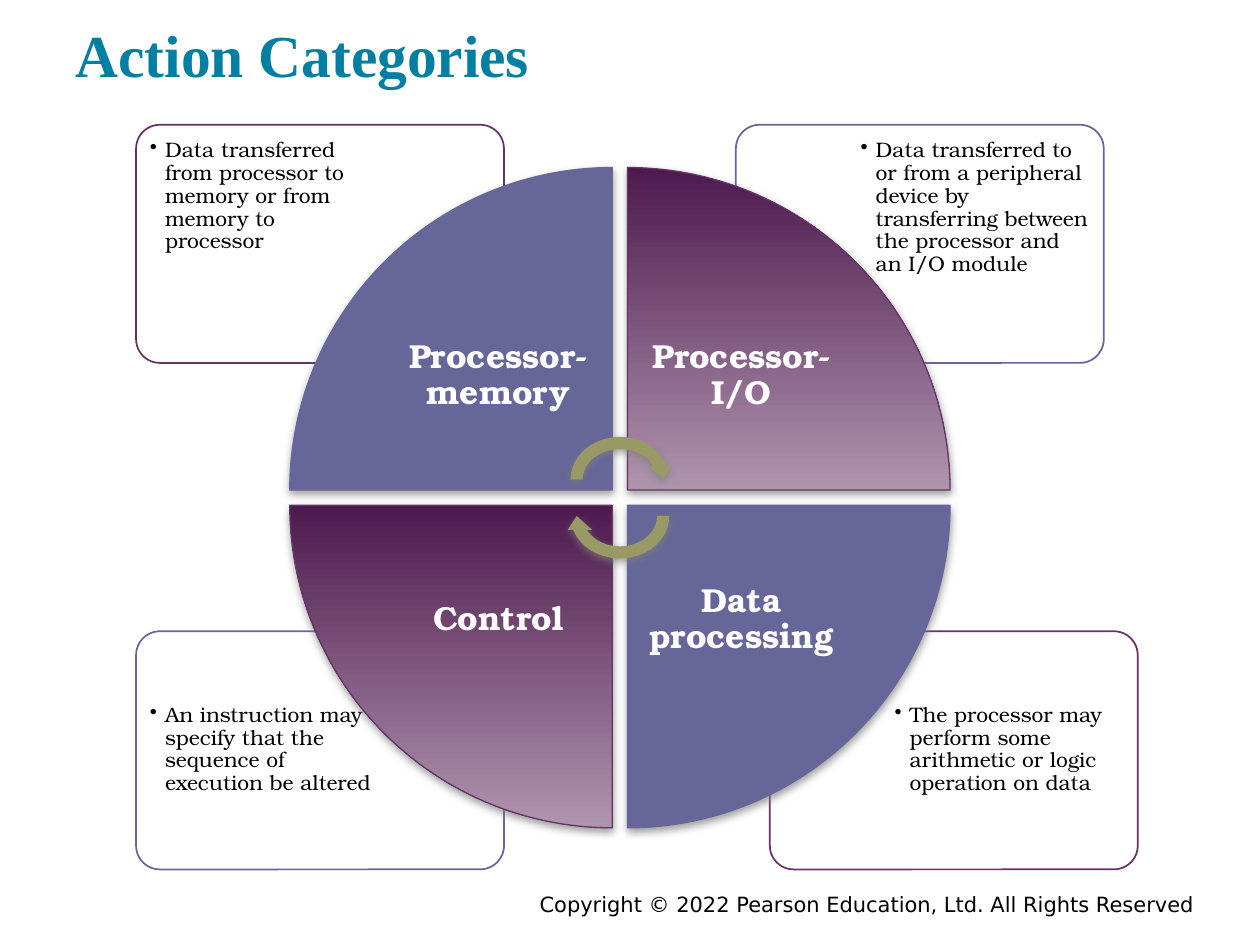
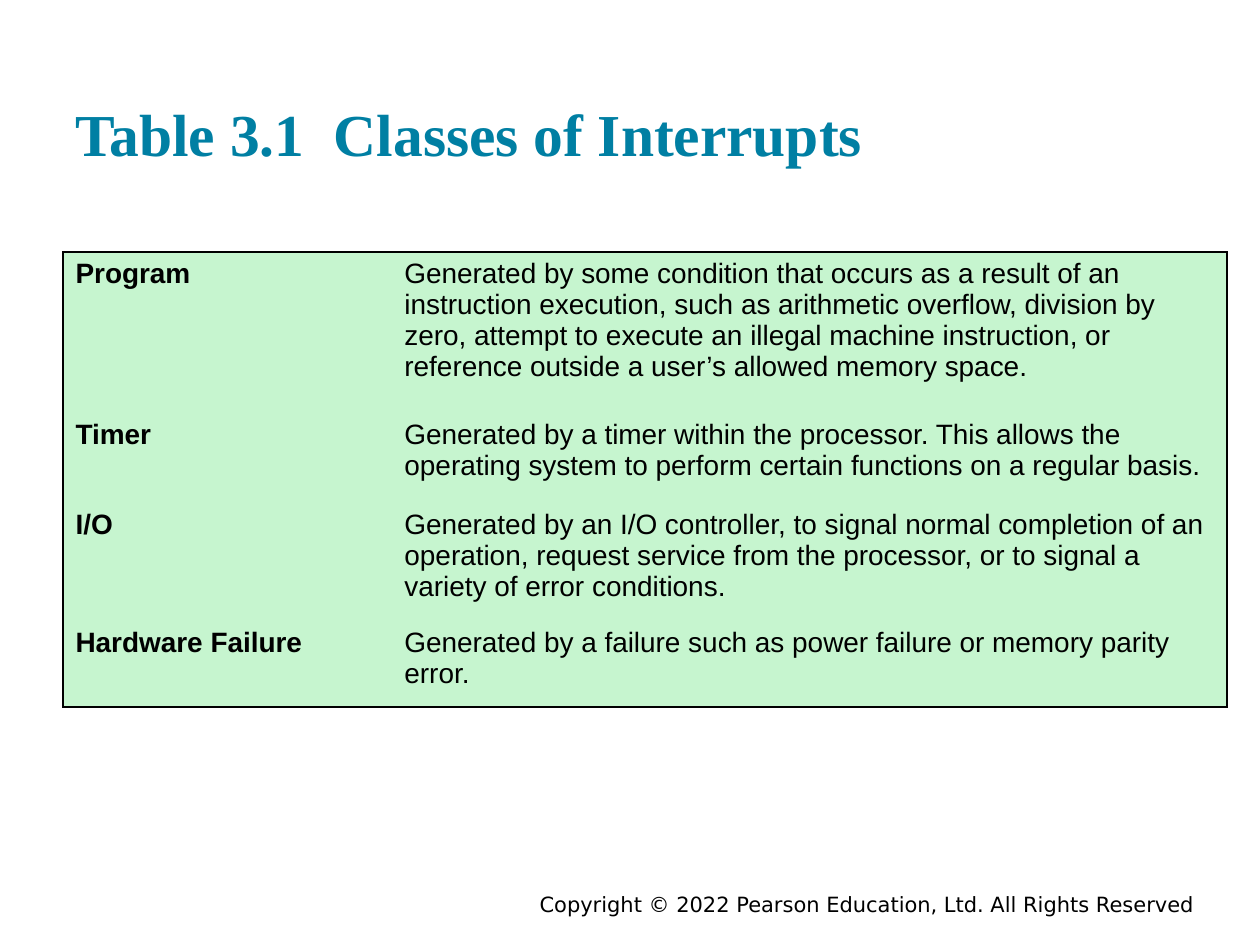
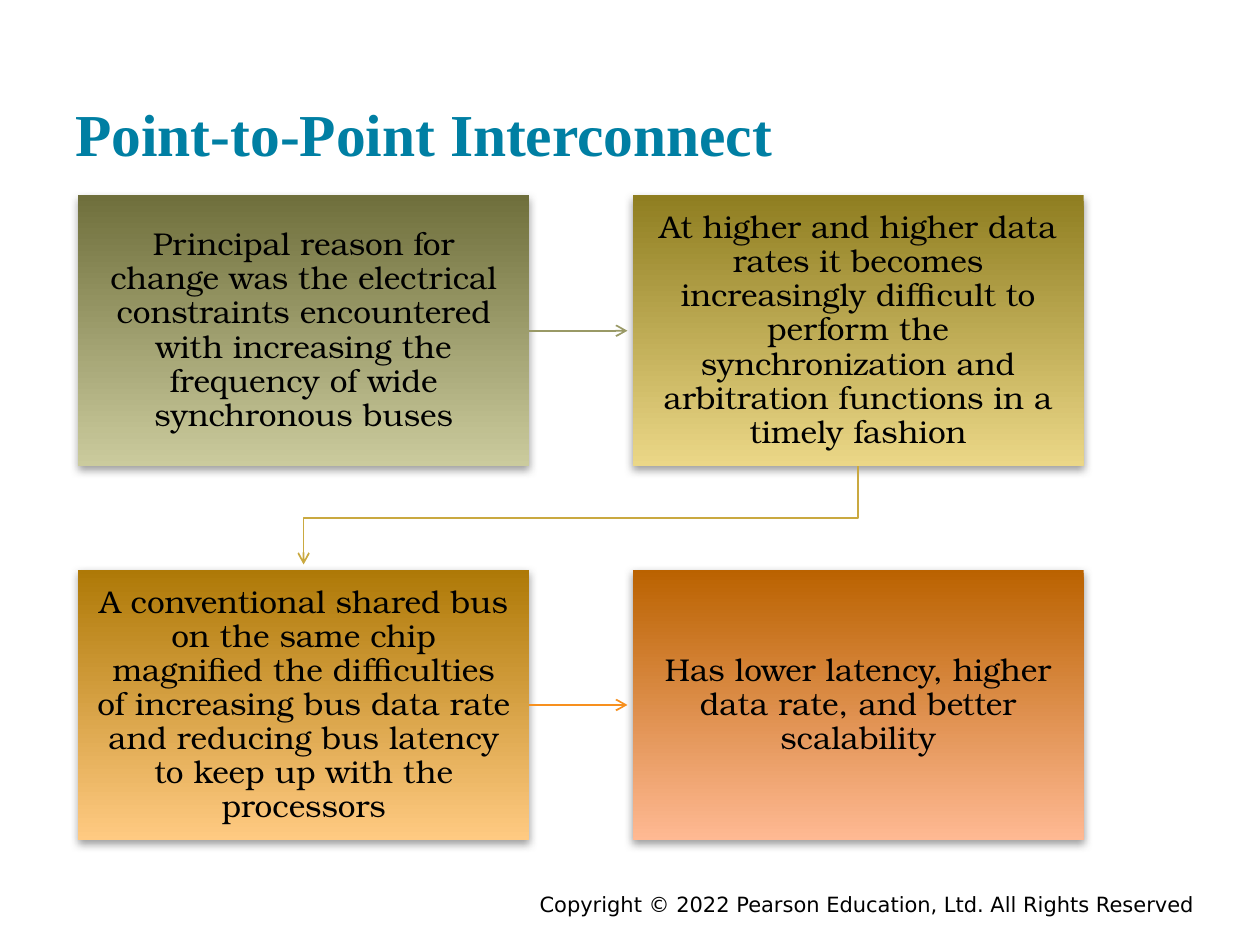
from dataclasses import dataclass

from lxml.etree import SubElement
from pptx import Presentation
from pptx.dml.color import RGBColor
from pptx.enum.shapes import MSO_CONNECTOR, MSO_SHAPE
from pptx.enum.text import MSO_ANCHOR, MSO_AUTO_SIZE, PP_ALIGN
from pptx.oxml.ns import qn
from pptx.util import Inches, Pt


@dataclass(frozen=True)
class Theme:
    title_font: str = "Times New Roman"
    diagram_font: str = "TeX Gyre Bonum"
    table_font: str = "Arial"
    footer_font: str = "DejaVu Sans"
    title_size: int = 34
    wedge_size: int = 19
    step_size: int = 18
    table_size: int = 16
    small_size: int = 12
    title: str = "007FA3"
    text: str = "000000"
    white: str = "FFFFFF"
    slate: str = "666699"
    plum: str = "663366"
    plum_fade: tuple = ("4D1A4D", "AF94AF")
    olive: str = "999966"
    gold: str = "CAA940"
    orange: str = "F7901E"
    table_fill: str = "C6F5CF"
    shadow: str = "808080"
    step_fades: tuple = (("6F6F3C", "CBCB9D"), ("8F7E21", "EBD787"),
                         ("AE7907", "FFCA82"), ("BA6200", "FFB993"))


T = Theme()
FOOTER = "Copyright © 2022 Pearson Education, Ltd. All Rights Reserved"


def rgb(color):
    return RGBColor.from_string(color)


def box(*lengths):
    return [Inches(n) for n in lengths]


# Text
def write(tf, text, *, size, font, color=T.text, bold=False, align=PP_ALIGN.LEFT,
          anchor=MSO_ANCHOR.TOP, inset=(0.1, 0.05), spacing=None, bullet=None):
    tf.word_wrap = True
    tf.auto_size = MSO_AUTO_SIZE.NONE
    tf.vertical_anchor = anchor
    tf.margin_left = tf.margin_right = Inches(inset[0])
    tf.margin_top = tf.margin_bottom = Inches(inset[1])
    p = tf.paragraphs[0]
    p.alignment = align
    if spacing:
        p.line_spacing = spacing
    if bullet:
        pPr = p._p.get_or_add_pPr()
        pPr.set("marL", str(Inches(0.12)))
        pPr.set("indent", str(-Inches(0.12)))
        SubElement(pPr, qn("a:buChar"), char=bullet)
    r = p.add_run()
    r.text = text
    r.font.size, r.font.name, r.font.bold = Pt(size), font, bold
    r.font.color.rgb = rgb(color)


def add_text(s, at, text, **fmt):
    write(s.shapes.add_textbox(*box(*at)).text_frame, text, **fmt)


# Shapes
def add_shadow(sp):
    effects = sp.element.spPr.find(qn("a:effectLst"))
    shadow = SubElement(effects, qn("a:outerShdw"), blurRad=str(Pt(5)),
                        dist=str(Pt(2)), dir="5400000", rotWithShape="0")
    color = SubElement(shadow, qn("a:srgbClr"), val=T.shadow)
    SubElement(color, qn("a:alpha"), val="75000")


def add_shape(s, kind, at, fill, line=None, width=1, rotation=0, shadow=False):
    """A pair of colours as fill gives a gradient from top to bottom."""
    sp = s.shapes.add_shape(kind, *box(*at))
    sp.rotation = rotation
    sp.shadow.inherit = False
    if isinstance(fill, tuple):
        sp.fill.gradient()
        sp.fill.gradient_angle = 270
        for stop, color in zip(sp.fill.gradient_stops, fill):
            stop.color.rgb = rgb(color)
        sp.element.spPr.find(qn("a:gradFill")).set("rotWithShape", "0")
    else:
        sp.fill.solid()
        sp.fill.fore_color.rgb = rgb(fill)
    if line:
        sp.line.color.rgb = rgb(line)
        sp.line.width = Pt(width)
    else:
        sp.line.fill.background()
    if shadow:
        add_shadow(sp)
    return sp


def style_arrow(sp, color):
    sp.line.color.rgb = rgb(color)
    sp.line.width = Pt(1)
    SubElement(sp.line._get_or_add_ln(), qn("a:tailEnd"), type="arrow")


# Slide frame: title and footer
def new_slide(prs, title, at=(0.5, 0.24, 9, 1.2)):
    s = prs.slides.add_slide(prs.slide_layouts.get_by_name("Title Only"))
    sp = s.shapes.title
    sp.left, sp.top, sp.width, sp.height = box(*at)
    write(sp.text_frame, title, size=T.title_size, font=T.title_font, color=T.title,
          bold=True, anchor=MSO_ANCHOR.BOTTOM, inset=(0.1, 0.1))
    add_text(s, (1.75, 7.03, 7.83, 0.22), FOOTER, size=T.small_size,
             font=T.footer_font, align=PP_ALIGN.RIGHT)
    return s


# Action categories: corner cards behind a wheel of four wedges
def add_card(s, x, y, row, col, text, line):
    sp = add_shape(s, MSO_SHAPE.ROUNDED_RECTANGLE, (x, y, 2.92, 1.89), T.white, line)
    sp.adjustments[0] = 0.1
    dx, dy = (0.04, 0.92)[col], (0.05, 0.51)[row]
    add_text(s, (x + dx, y + dy, 1.96, 1.33), text, size=T.small_size,
             font=T.diagram_font, inset=(0.07, 0.07), spacing=0.9, bullet="•")


def add_wheel(s, x, y, labels):
    size, pitch, label_size = 2.56, 2.68, 1.81
    for row, col, rotation, label in labels:
        left, top = x + col * pitch, y + row * pitch
        fill, line = (T.plum_fade, T.plum) if row != col else (T.slate, T.slate)
        add_shape(s, MSO_SHAPE.PIE_WEDGE, (left, top, size, size), fill, line, 0.75,
                  rotation, shadow=True)
        inner = size - label_size
        add_text(s, (left + (1 - col) * inner, top + (1 - row) * inner,
                     label_size, label_size), label, size=T.wedge_size,
                 font=T.diagram_font, color=T.white, bold=True, align=PP_ALIGN.CENTER,
                 anchor=MSO_ANCHOR.MIDDLE, inset=(0.15, 0.15), spacing=0.9)
    # Turning arrows at the hub
    for dy, rotation in ((2.09, 0), (2.38, 180)):
        add_shape(s, MSO_SHAPE.CIRCULAR_ARROW, (x + 2.18, y + dy, 0.88, 0.77),
                  T.olive, rotation=rotation, shadow=True)


def build_categories(prs):
    s = new_slide(prs, "Action Categories", (0.5, 0.13, 9, 0.68))
    cards = (
        (6.11, 5.01, 1, 1, "The processor may perform some arithmetic or logic "
                           "operation on data", T.plum),
        (1.08, 5.01, 1, 0, "An instruction may specify that the sequence of "
                           "execution be altered", T.slate),
        (5.84, 0.99, 0, 1, "Data transferred to or from a peripheral device by "
                           "transferring between the processor and an I/O module", T.slate),
        (1.08, 0.99, 0, 0, "Data transferred from processor to memory or from "
                           "memory to processor", T.plum),
    )
    for card in cards:
        add_card(s, *card)
    add_wheel(s, 2.3, 1.33, ((0, 0, 0, "Processor-memory"), (0, 1, 90, "Processor-I/O"),
                             (1, 1, 180, "Data processing"), (1, 0, 270, "Control")))


# Interrupt classes: one table with an outer border only
def set_borders(cell, shown):
    tcPr = cell._tc.get_or_add_tcPr()
    for i, side in enumerate("LRTB"):
        ln = SubElement(tcPr, qn(f"a:ln{side}"), w=str(Pt(1)))
        if side in shown:
            SubElement(SubElement(ln, qn("a:solidFill")), qn("a:srgbClr"), val=T.text)
        else:
            SubElement(ln, qn("a:noFill"))
        tcPr.insert(i, ln)


def add_class_table(s, at, widths, heights, rows):
    table = s.shapes.add_table(len(rows), len(widths), *box(*at)).table
    table.first_row = table.horz_banding = False
    for column, width in zip(table.columns, widths):
        column.width = Inches(width)
    for i, (height, row) in enumerate(zip(heights, rows)):
        table.rows[i].height = Inches(height)
        for j, text in enumerate(row):
            cell = table.cell(i, j)
            cell.fill.solid()
            cell.fill.fore_color.rgb = rgb(T.table_fill)
            write(cell.text_frame, text, size=T.table_size, font=T.table_font, bold=j == 0)
            edges = "LR"[j]
            if i == 0:
                edges += "T"
            if i == len(rows) - 1:
                edges += "B"
            set_borders(cell, edges)


def build_interrupts(prs):
    s = new_slide(prs, "Table 3.1  Classes of Interrupts")
    add_class_table(s, (0.5, 2, 9.24, 3.61), (2.61, 6.63), (1.28, 0.71, 0.94, 0.68), (
        ("Program", "Generated by some condition that occurs as a result of an "
                    "instruction execution, such as arithmetic overflow, division by "
                    "zero, attempt to execute an illegal machine instruction, or "
                    "reference outside a user’s allowed memory space."),
        ("Timer", "Generated by a timer within the processor. This allows the operating "
                  "system to perform certain functions on a regular basis."),
        ("I/O", "Generated by an I/O controller, to signal normal completion of an "
                "operation, request service from the processor, or to signal a variety "
                "of error conditions."),
        ("Hardware Failure", "Generated by a failure such as power failure or memory "
                             "parity error."),
    ))


# Interconnect: four steps on a grid, read in a Z
def add_steps(s, x, y, texts):
    width, height, pitch_x, pitch_y, gap = 3.58, 2.15, 4.4, 2.97, 0.04
    steps = []
    for i, (text, fade) in enumerate(zip(texts, T.step_fades)):
        row, col = divmod(i, 2)
        sp = add_shape(s, MSO_SHAPE.RECTANGLE,
                       (x + col * pitch_x, y + row * pitch_y, width, height),
                       fade, shadow=True)
        write(sp.text_frame, text, size=T.step_size, font=T.diagram_font,
              align=PP_ALIGN.CENTER, anchor=MSO_ANCHOR.MIDDLE, inset=(0.14, 0.14),
              spacing=0.9)
        steps.append(sp)

    # Arrows along the rows stop just short of the next step
    for row, color in enumerate((T.olive, T.orange)):
        mid = y + row * pitch_y + height / 2
        arrow = s.shapes.add_connector(MSO_CONNECTOR.STRAIGHT, *box(
            x + width, mid, x + pitch_x - gap, mid))
        arrow.begin_connect(steps[2 * row], 3)
        style_arrow(arrow, color)
        SubElement(arrow.element.spPr, qn("a:effectLst"))

    # Bent arrow from the first row to the second
    left, right = x + width / 2, x + pitch_x + width / 2
    turn = y + (height + pitch_y) / 2
    bend = s.shapes.build_freeform(*box(right, y + height))
    bend.add_line_segments([box(right, turn), box(left, turn),
                            box(left, y + pitch_y - gap)], close=False)
    sp = bend.convert_to_shape()
    sp.fill.background()
    sp.shadow.inherit = False
    style_arrow(sp, T.gold)


def build_interconnect(prs):
    s = new_slide(prs, "Point-to-Point Interconnect")
    add_steps(s, 0.62, 1.55, (
        "Principal reason for change was the electrical constraints encountered with "
        "increasing the frequency of wide synchronous buses",
        "At higher and higher data rates it becomes increasingly difficult to perform "
        "the synchronization and arbitration functions in a timely fashion",
        "A conventional shared bus on the same chip magnified the difficulties of "
        "increasing bus data rate and reducing bus latency to keep up with the processors",
        "Has lower latency, higher data rate, and better scalability",
    ))


def main():
    prs = Presentation()
    prs.slide_width, prs.slide_height = Inches(10), Inches(7.5)
    build_categories(prs)
    build_interrupts(prs)
    build_interconnect(prs)
    prs.save("out.pptx")


if __name__ == "__main__":
    main()
